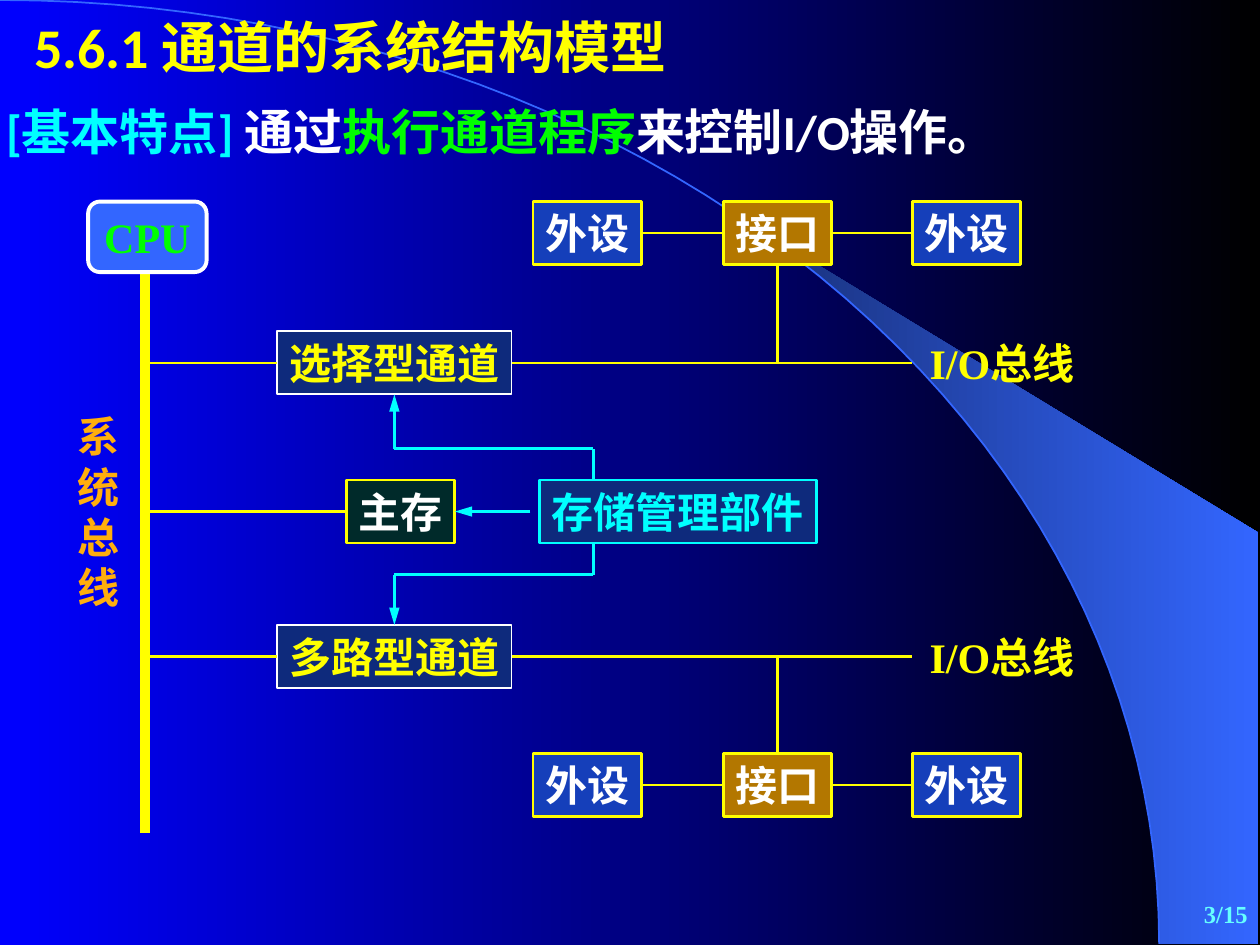
"""Build a slide on the system structure model of I/O channels."""
from math import asin, cos, pi, sin

from lxml import etree
from pptx import Presentation
from pptx.dml.color import RGBColor
from pptx.enum.shapes import MSO_CONNECTOR, MSO_SHAPE as SHAPE
from pptx.enum.text import MSO_ANCHOR as ANCHOR, MSO_AUTO_SIZE as AUTO, PP_ALIGN as ALIGN
from pptx.oxml.ns import qn
from pptx.util import Inches, Pt

C = {
    "yellow": "FFFF00", "cyan": "00FFFF", "white": "FFFFFF", "green": "00FF00",
    "orange": "FFAE0D", "pale": "66FFFF", "sky": "3366FF", "navy": "0E2A7C",
    "blue": "153FBA", "brown": "B37700", "dark": "002A2A", "dusk": "182F76",
    "bright": "0000FF", "black": "000000",
}
SANS, SERIF, CALIBRI = "Noto Sans CJK SC", "Times New Roman", "Calibri"
TOP, LEFT, BOTTOM, RIGHT = range(4)
BOX_H, SMALL_W = 0.5, 0.86
BUS_X, IO_END = 1.15, 7.24
RX, RY = 9.2, 7.49


def rgb(name):
    return RGBColor.from_string(C[name])


def gradient(fill, start, end):
    fill.gradient()
    fill.gradient_angle = 0
    for stop, name in zip(fill.gradient_stops, (start, end)):
        stop.color.rgb = rgb(name)


def format_run(r, color, size, font):
    r.font.size, r.font.bold, r.font.name = Pt(size), True, font
    r.font.color.rgb = rgb(color)
    etree.SubElement(r.font._element, qn("a:ea")).set("typeface", SANS)


def write(sp, parts, size=24, font=SERIF, align=ALIGN.LEFT, anchor=ANCHOR.TOP, wrap=False,
          fit=AUTO.SHAPE_TO_FIT_TEXT):
    """Fill a shape with one paragraph of (text, color) parts."""
    tf = sp.text_frame
    tf.word_wrap, tf.vertical_anchor, tf.auto_size = wrap, anchor, fit
    p = tf.paragraphs[0]
    p.alignment = align
    for text, color in parts:
        r = p.add_run()
        r.text = text
        format_run(r, color, size, font)


def add_title(s, text):
    """Fill the title placeholder and bring it in front of the backdrop."""
    sp = s.shapes.title
    sp.left, sp.top, sp.width, sp.height = map(Inches, (0.17, 0.05, 5.8, 0.64))
    write(sp, [(text, "yellow")], 32, CALIBRI, wrap=True, fit=AUTO.NONE)
    sp._element.getparent().append(sp._element)


def add_label(s, x, y, w, h, parts, **style):
    sp = s.shapes.add_textbox(*map(Inches, (x, y, w, h)))
    write(sp, parts, **style)


def add_box(s, x, y, w, text, fill, line, color, font=SERIF, pt=1.5, h=BOX_H, kind=SHAPE.RECTANGLE):
    sp = s.shapes.add_shape(kind, *map(Inches, (x, y, w, h)))
    sp.shadow.inherit = False
    sp.fill.solid()
    sp.fill.fore_color.rgb = rgb(fill)
    sp.line.color.rgb = rgb(line)
    sp.line.width = Pt(pt)
    write(sp, [(text, color)], font=font, align=ALIGN.CENTER, fit=AUTO.NONE)
    sp.text_frame.margin_left = sp.text_frame.margin_right = Inches(0.02)
    return sp


def add_line(s, start, end, color="yellow", pt=1.5, arrow=False):
    """Join two ends, each a point in inches or a (shape, side) pair."""
    glued = [hasattr(e[0], "shape_id") for e in (start, end)]
    points = [(0, 0) if g else e for g, e in zip(glued, (start, end))]
    cx = s.shapes.add_connector(MSO_CONNECTOR.STRAIGHT, *map(Inches, points[0] + points[1]))
    if glued[0]:
        cx.begin_connect(*start)
    if glued[1]:
        cx.end_connect(*end)
    cx.line.color.rgb = rgb(color)
    cx.line.width = Pt(pt)
    if arrow:
        tail = etree.SubElement(cx.line._get_or_add_ln(), qn("a:tailEnd"))
        tail.set("type", "triangle")
        tail.set("len", "lg")
    etree.SubElement(cx._element.spPr, qn("a:effectLst"))


def arc(start, steps=48):
    """Return points of the quarter ellipse from an angle down to the slide foot."""
    angles = [start + (pi / 2 - start) * i / steps for i in range(steps + 1)]
    return [(RX * sin(a), RY * (1 - cos(a))) for a in angles]


def add_outline(s, points, close):
    pts = [tuple(map(Inches, point)) for point in points]
    builder = s.shapes.build_freeform(*pts[0])
    builder.add_line_segments(pts[1:], close=close)
    sp = builder.convert_to_shape()
    sp.shadow.inherit = False
    return sp


def add_backdrop(s):
    gradient(s.background.fill, "bright", "black")
    beam = add_outline(s, arc(asin(5.89 / RX)) + [(9.99, RY), (9.99, 4.23)], True)
    gradient(beam.fill, "dusk", "sky")
    beam.line.fill.background()
    curve = add_outline(s, arc(0), False)
    curve.fill.background()
    curve.line.color.rgb = rgb("sky")
    curve.line.width = Pt(1)


def add_channel(s, y, text):
    """Add a channel box with its links to the system bus and the I/O bus."""
    sp = add_box(s, 2.2, y, 1.86, text, "navy", "white", "yellow", pt=1)
    mid = y + BOX_H / 2
    add_line(s, (BUS_X, mid), (sp, LEFT))
    add_line(s, (sp, RIGHT), (IO_END, mid))
    add_label(s, 7.28, y, 1.43, BOX_H, [("I/O总线", "yellow")])
    return sp


def add_devices(s, y, side, bus_y):
    """Add an interface between two peripherals and tie it to an I/O bus."""
    left, right = [add_box(s, x, y, SMALL_W, "外设", "blue", "yellow", "white", SANS)
                   for x in (4.23, 7.24)]
    port = add_box(s, 5.74, y, SMALL_W, "接口", "brown", "yellow", "white", SANS)
    add_line(s, (left, RIGHT), (port, LEFT))
    add_line(s, (port, RIGHT), (right, LEFT))
    add_line(s, (port, side), (6.17, bus_y))


def add_storage(s, selector, multiplexer):
    """Add main memory and the storage manager with its control arrows."""
    y, stem_x, arrow_x = 3.81, 4.71, 3.13
    mid = y + BOX_H / 2
    memory = add_box(s, 2.75, y, SMALL_W, "主存", "dark", "yellow", "white", SANS)
    add_box(s, 4.28, y, 2.2, "存储管理部件", "navy", "cyan", "cyan")
    add_line(s, (BUS_X, mid), (memory, LEFT))
    add_line(s, (4.21, mid), (memory, RIGHT), "cyan", arrow=True)
    for edge, turn, target in ((y, 3.56, (selector, BOTTOM)),
                               (y + BOX_H, 4.56, (multiplexer, TOP))):
        add_line(s, (stem_x, edge), (stem_x, turn), "cyan")
        add_line(s, (stem_x, turn), (arrow_x, turn), "cyan")
        add_line(s, (arrow_x, turn), target, "cyan", arrow=True)


def add_cpu(s):
    add_line(s, (BUS_X, 2.16), (BUS_X, 6.61), pt=6)
    add_label(s, 0.52, 3.21, 0.63, 1.7, [("系统总线", "orange")], font=SANS, wrap=True)
    add_box(s, 0.7, 1.6, 0.94, "CPU", "sky", "white", "green", pt=2.25, h=0.56,
            kind=SHAPE.ROUNDED_RECTANGLE)


def main():
    prs = Presentation()
    prs.slide_width, prs.slide_height = Inches(10), Inches(7.5)
    s = prs.slides.add_slide(prs.slide_layouts[5])
    add_backdrop(s)
    add_title(s, "5.6.1 通道的系统结构模型")
    add_label(s, -0.05, 0.76, 8.53, 0.57,
              [("[基本特点] ", "cyan"), ("通过", "white"), ("执行通道程序", "green"),
               ("来控制I/O操作。", "white")], size=28, font=CALIBRI)
    add_cpu(s)
    selector = add_channel(s, 2.63, "选择型通道")
    multiplexer = add_channel(s, 4.96, "多路型通道")
    add_storage(s, selector, multiplexer)
    add_devices(s, 1.6, BOTTOM, 2.88)
    add_devices(s, 5.98, TOP, 5.21)
    add_label(s, 7.92, 7, 2.08, 0.5, [("3/15", "pale")], size=14, align=ALIGN.RIGHT,
              anchor=ANCHOR.MIDDLE, wrap=True)
    prs.save("out.pptx")


if __name__ == "__main__":
    main()
